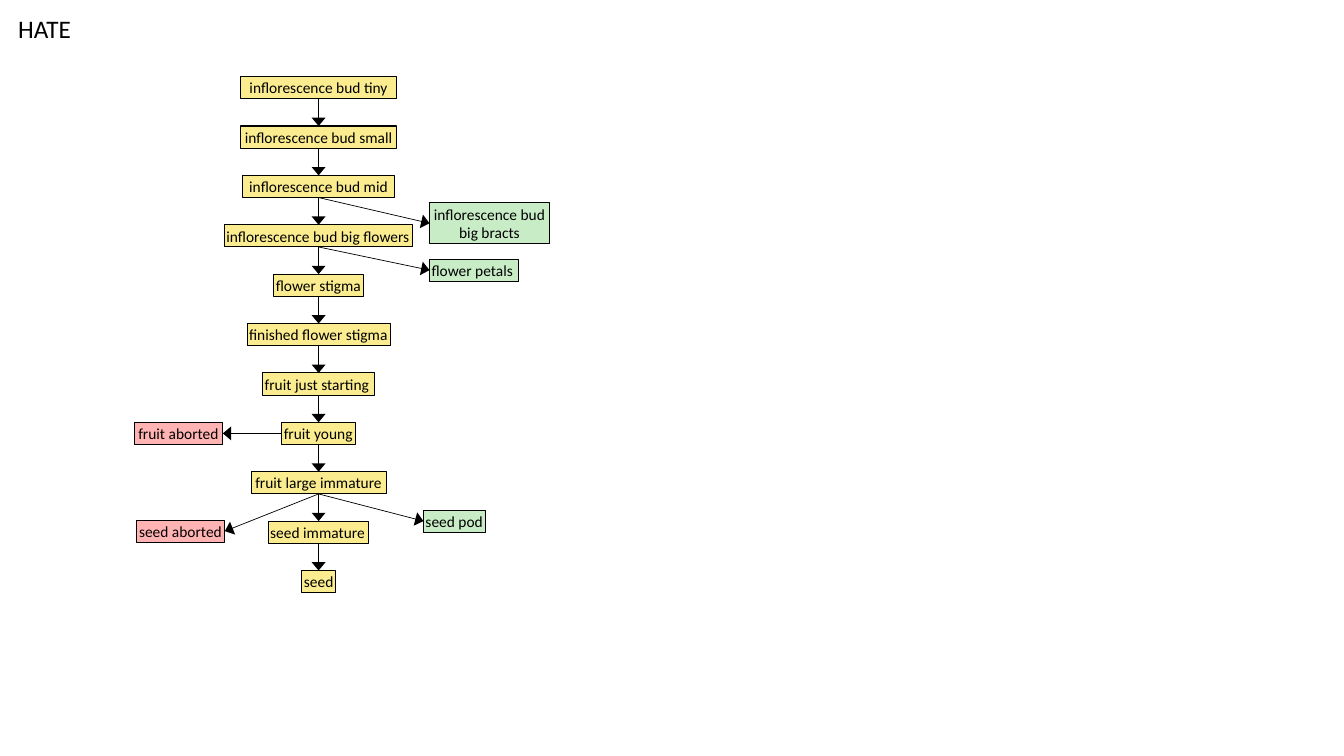
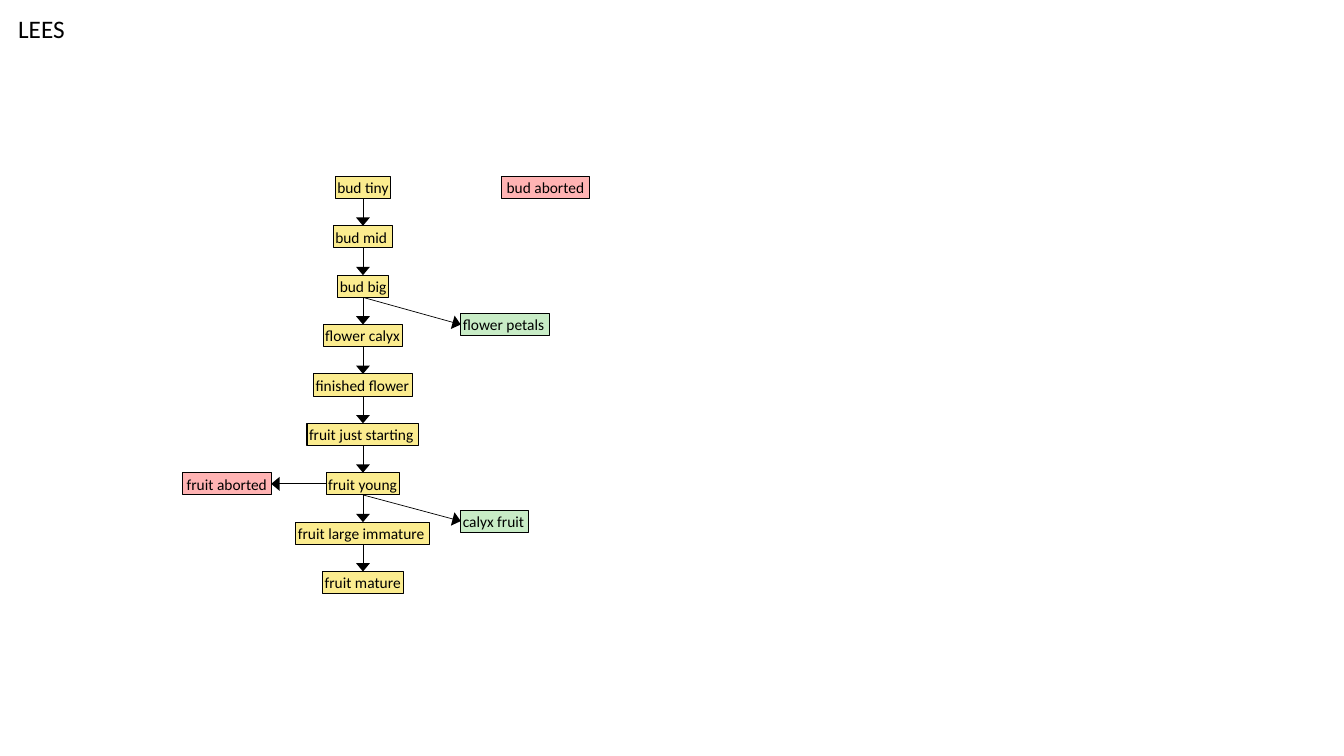
from dataclasses import dataclass

from pptx import Presentation
from pptx.dml.color import RGBColor
from pptx.enum import shapes, text
from pptx.oxml.ns import qn
from pptx.util import Inches, Pt
from lxml import etree

LEFT, CENTER = text.PP_ALIGN.LEFT, text.PP_ALIGN.CENTER

CHARTS = [
    {
        "title": "HATE", "axis": 3.16, "top": 0.76,
        "stages": [
            ("inflorescence bud tiny", 1.54, CENTER),
            ("inflorescence bud small", 1.54, CENTER),
            ("inflorescence bud mid", 1.51, CENTER),
            ("inflorescence bud big flowers", 1.87, LEFT),
            ("flower stigma", 0.89, LEFT),
            ("finished flower stigma", 1.42, LEFT),
            ("fruit just starting", 1.11, LEFT),
            ("fruit young", 0.73, LEFT),
            ("fruit large immature", 1.34, CENTER),
            ("seed immature", 1.0, LEFT),
            ("seed", 0.33, LEFT),
        ],
        "branches": [
            ("inflorescence bud\nbig bracts", "part", "inflorescence bud mid", 4.26, 0.27, 1.19, 0.41, CENTER, True),
            ("flower petals", "part", "inflorescence bud big flowers", 4.26, 0.34, 0.88, 0.22, LEFT, True),
            ("fruit aborted", "aborted", "fruit young", 1.33, 0, 0.88, 0.22, CENTER, True),
            ("seed aborted", "aborted", "fruit large immature", 1.35, 0.48, 0.88, 0.22, CENTER, True),
            ("seed pod", "part", "fruit large immature", 4.2, 0.38, 0.62, 0.22, LEFT, True),
        ],
    },
    {
        "title": "LEES", "axis": 3.6, "top": 1.75,
        "stages": [
            ("bud tiny", 0.55, LEFT),
            ("bud mid", 0.59, LEFT),
            ("bud big", 0.5, LEFT),
            ("flower calyx", 0.79, LEFT),
            ("finished flower", 0.98, LEFT),
            ("fruit just starting", 1.11, LEFT),
            ("fruit young", 0.73, LEFT),
            ("fruit large immature", 1.33, LEFT),
            ("fruit mature", 0.8, LEFT),
        ],
        "branches": [
            ("bud aborted", "aborted", "bud tiny", 4.97, 0, 0.88, 0.22, CENTER, False),
            ("flower petals", "part", "bud big", 4.57, 0.38, 0.88, 0.22, LEFT, True),
            ("fruit aborted", "aborted", "fruit young", 1.81, 0, 0.88, 0.22, CENTER, True),
            ("calyx fruit", "part", "fruit young", 4.57, 0.37, 0.67, 0.22, LEFT, True),
        ],
    },
]


@dataclass(frozen=True)
class Theme:
    font: str = "Calibri"
    ink: str = "000000"
    stage: str = "FBEC8F"
    part: str = "C8ECC6"
    aborted: str = "FFB3B3"
    title_size: float = 18
    label_size: float = 11
    border: float = 0.75
    arrow: float = 0.5


THEME = Theme()
PITCH, BOX_HEIGHT, INSET = 0.49, 0.22, 0.02
SITE_TOP, SITE_LEFT, SITE_BOTTOM, SITE_RIGHT = range(4)


def write(sp, content, size, align=LEFT, anchor=text.MSO_ANCHOR.MIDDLE):
    tf = sp.text_frame
    tf.text = content
    tf.word_wrap = False
    tf.auto_size = text.MSO_AUTO_SIZE.NONE
    tf.vertical_anchor = anchor
    for p in tf.paragraphs:
        p.alignment = align
        for r in p.runs:
            r.font.name = THEME.font
            r.font.size = Pt(size)
            r.font.color.rgb = RGBColor.from_string(THEME.ink)
    return tf


def add_title(s, content):
    sp = s.shapes.title
    sp.left, sp.top, sp.width, sp.height = [Inches(v) for v in (0.08, 0.08, 0.73, 0.4)]
    write(sp, content, THEME.title_size, anchor=text.MSO_ANCHOR.TOP)


def add_box(s, content, kind, left, top, width, height, align):
    sp = s.shapes.add_shape(shapes.MSO_SHAPE.RECTANGLE, *[Inches(v) for v in (left, top, width, height)])
    sp.shadow.inherit = False
    sp.fill.solid()
    sp.fill.fore_color.rgb = RGBColor.from_string(getattr(THEME, kind))
    sp.line.color.rgb = RGBColor.from_string(THEME.ink)
    sp.line.width = Pt(THEME.border)
    tf = write(sp, content, THEME.label_size, align=align)
    tf.margin_left = tf.margin_right = tf.margin_top = tf.margin_bottom = Inches(INSET)
    return sp


def add_arrow(s, source, source_site, target, target_site):
    arrow = s.shapes.add_connector(shapes.MSO_CONNECTOR.STRAIGHT, 0, 0, 0, 0)
    arrow.begin_connect(source, source_site)
    arrow.end_connect(target, target_site)
    arrow.line.color.rgb = RGBColor.from_string(THEME.ink)
    arrow.line.width = Pt(THEME.arrow)
    properties = arrow._element.spPr
    etree.SubElement(properties.find(qn("a:ln")), qn("a:tailEnd"), type="triangle", w="lg", len="med")
    etree.SubElement(properties, qn("a:effectLst"))


def add_chart_slide(prs, chart):
    s = prs.slides.add_slide(prs.slide_layouts[5])
    add_title(s, chart["title"])
    placed, previous = {}, None
    for i, (name, width, align) in enumerate(chart["stages"]):
        top = chart["top"] + i * PITCH
        sp = add_box(s, name, "stage", chart["axis"] - width / 2, top, width, BOX_HEIGHT, align)
        if previous:
            add_arrow(s, previous, SITE_BOTTOM, sp, SITE_TOP)
        placed[name] = sp, top
        previous = sp
    for name, kind, parent, left, drop, width, height, align, linked in chart["branches"]:
        source, top = placed[parent]
        sp = add_box(s, name, kind, left, top + drop, width, height, align)
        if linked:
            add_arrow(s, source, SITE_BOTTOM if drop else SITE_LEFT,
                      sp, SITE_LEFT if left > chart["axis"] else SITE_RIGHT)


prs = Presentation()
prs.slide_width, prs.slide_height = Inches(13.33), Inches(7.5)
for chart in CHARTS:
    add_chart_slide(prs, chart)
prs.save("out.pptx")
